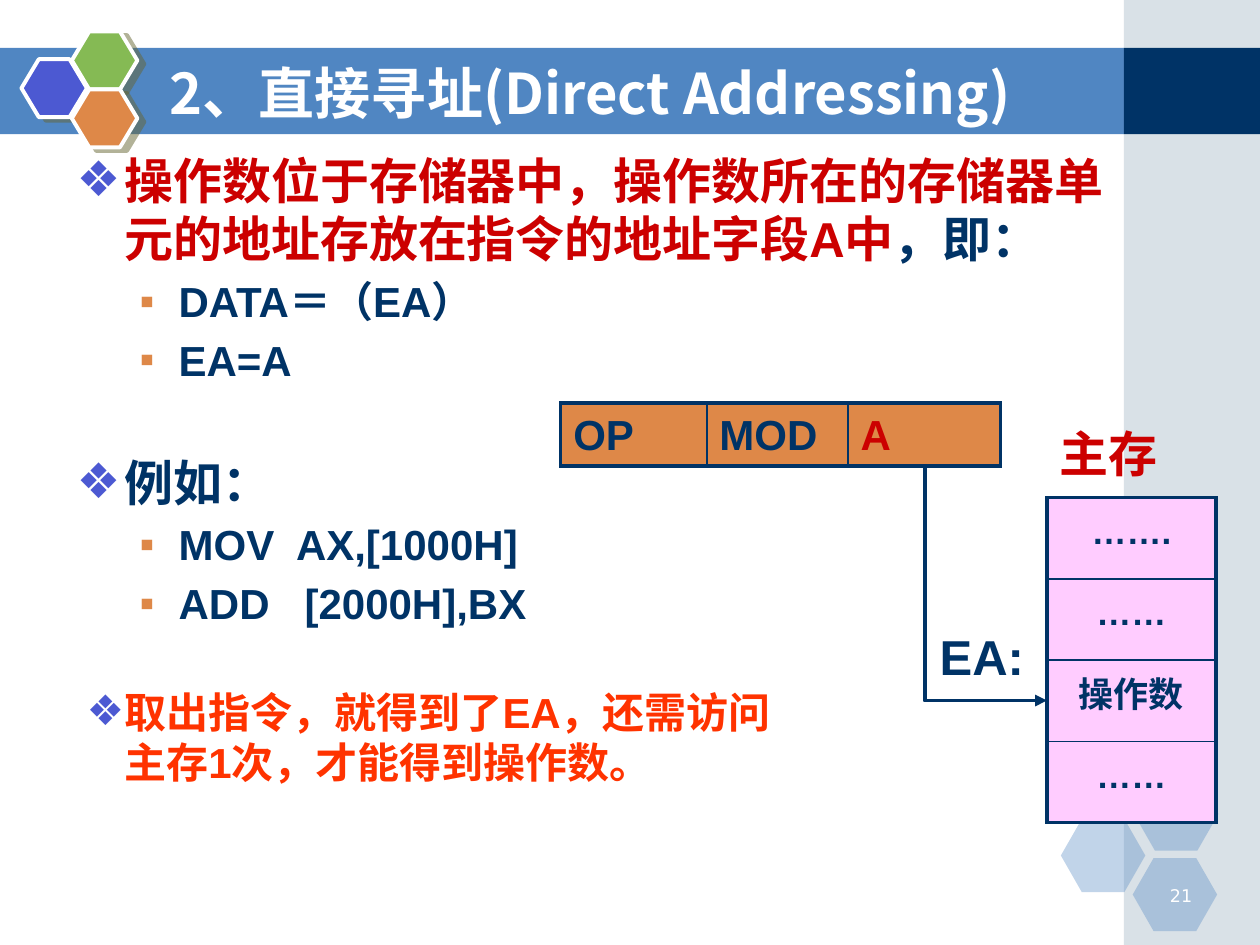
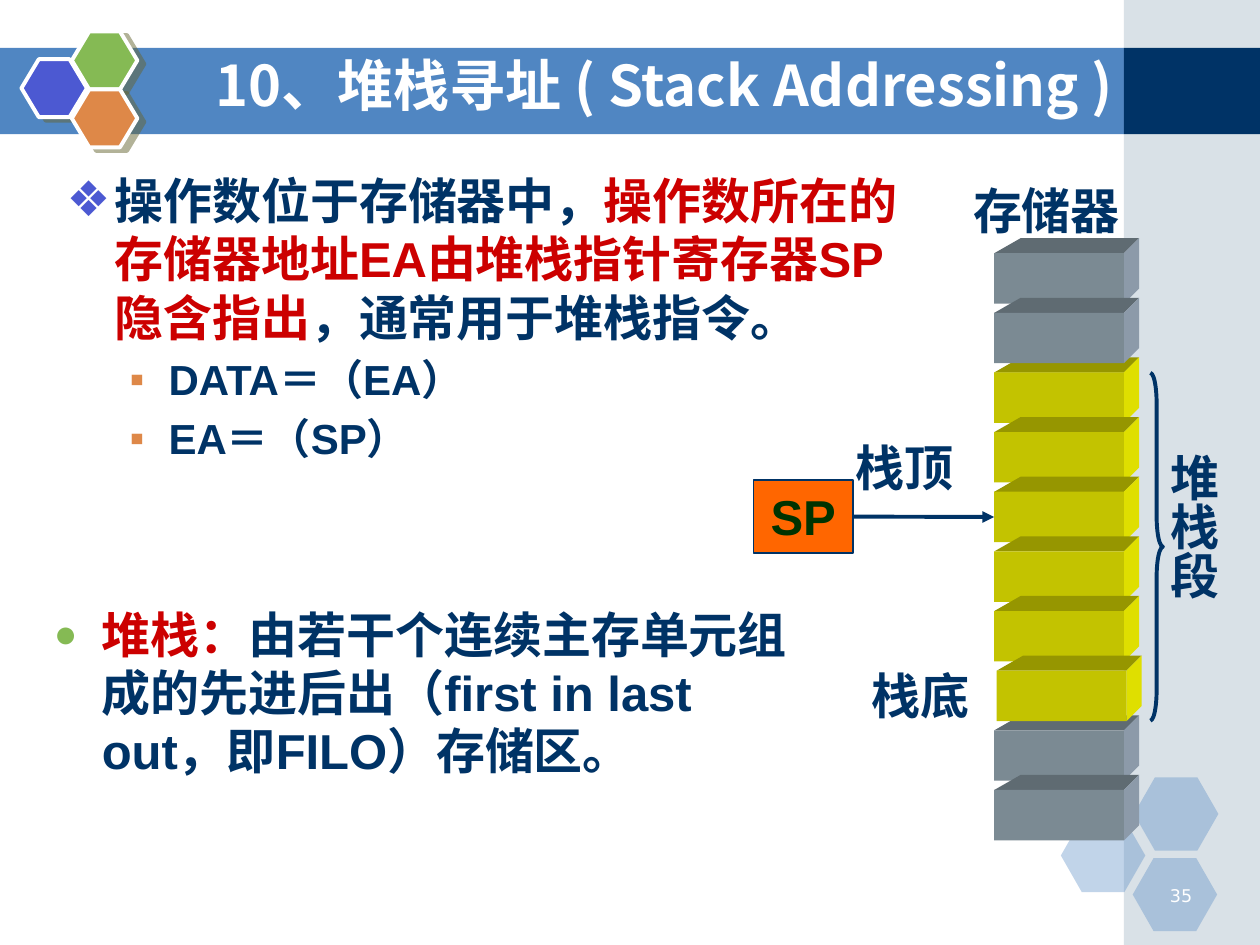
from lxml.etree import SubElement
from pptx import Presentation
from pptx.dml.color import RGBColor
from pptx.enum.shapes import MSO_CONNECTOR, MSO_SHAPE
from pptx.enum.text import MSO_ANCHOR, PP_ALIGN
from pptx.oxml.ns import qn
from pptx.util import Inches, Pt

# Colours
WHITE = RGBColor(0xFF, 0xFF, 0xFF)
NAVY = RGBColor(0x00, 0x33, 0x66)
BLUE = RGBColor(0x50, 0x86, 0xC2)
STEEL = RGBColor(0xA0, 0xB5, 0xC4)
INDIGO = RGBColor(0x4C, 0x59, 0xD2)
GREEN = RGBColor(0x85, 0xBA, 0x54)
AMBER = RGBColor(0xDE, 0x88, 0x48)
RED = RGBColor(0xCC, 0x00, 0x00)
SCARLET = RGBColor(0xFF, 0x33, 0x00)
ORANGE = RGBColor(0xFF, 0x66, 0x00)
FOREST = RGBColor(0x00, 0x33, 0x00)
PINK = RGBColor(0xFF, 0xCC, 0xFF)
# Front, top and side of a memory block
GREY = (RGBColor(0x7B, 0x8A, 0x93), RGBColor(0x5F, 0x6B, 0x72),
        RGBColor(0x8C, 0x9A, 0xA9))
YELLOW = (RGBColor(0xC3, 0xC3, 0x00), RGBColor(0x96, 0x96, 0x00),
          RGBColor(0xDF, 0xDF, 0x00))

# Grid: 100 columns by 75 rows
COLS, ROWS = 100, 75
LEAD = 1.19  # line pitch as a share of the text size

# Paragraph kinds: text size, level, left, hang, bullet, its colour and percent
KINDS = {
    "label": dict(size=28),
    "title": dict(size=32, face="Noto Sans CJK SC"),
    "page": dict(size=10, face="DejaVu Sans", bold=False),
    "op": dict(size=24),
    "cell": dict(size=20),
    "main": dict(size=28, left=0.38, hang=0.38, mark="❖", tint=INDIGO),
    "sub": dict(size=24, level=1, left=0.81, hang=0.31, mark="▪", tint=AMBER),
    "note": dict(size=24, left=0.3, hang=0.3, mark="❖", tint=INDIGO),
    "dot": dict(size=28, left=0.38, hang=0.38, mark="●", tint=GREEN, part=80),
}


def put(item, **values):
    for name, value in values.items():
        setattr(item, name, value)


class Deck:
    def __init__(self):
        self.prs = Presentation()
        put(self.prs, slide_width=Inches(10), slide_height=Inches(7.5))
        self.slide = None

    def x(self, cols):
        return round(self.prs.slide_width * cols / COLS)

    def y(self, rows):
        return round(self.prs.slide_height * rows / ROWS)

    def place(self, left, top, wide, high):
        return self.x(left), self.y(top), self.x(wide), self.y(high)

    # Text
    def bullet(self, para, left, hang, mark, tint, part):
        props = para._p.get_or_add_pPr()
        props.set("marL", str(Inches(left)))
        props.set("indent", str(-Inches(hang)))
        color = SubElement(props, qn("a:buClr"))
        SubElement(color, qn("a:srgbClr"), val=str(tint))
        SubElement(props, qn("a:buSzPct"), val=str(part * 1000))
        SubElement(props, qn("a:buFont"), typeface="Arial")
        SubElement(props, qn("a:buChar"), char=mark)

    def compose(self, frame, paras, align=PP_ALIGN.LEFT):
        """Each paragraph is a kind, its runs and, if needed, a gap above."""
        for index, (kind, runs, *gap) in enumerate(paras):
            look = KINDS[kind]
            size = look["size"]
            para = frame.add_paragraph() if index else frame.paragraphs[0]
            if "mark" in look:
                self.bullet(para, look["left"], look["hang"], look["mark"],
                            look["tint"], look.get("part", 100))
            above = gap[0] if gap else size * 0.2
            put(para, alignment=align, level=look.get("level", 0),
                line_spacing=Pt(round(size * LEAD, 1)),
                space_before=Pt(above if index else 0))
            for text, color in runs:
                run = para.add_run()
                run.text = text
                face = look.get("face", "Arial")
                put(run.font, size=Pt(size), name=face,
                    bold=look.get("bold", True))
                run.font.color.rgb = color
                SubElement(run._r.get_or_add_rPr(), qn("a:ea"), typeface=face)

    def text(self, at, paras, align=PP_ALIGN.LEFT, anchor=MSO_ANCHOR.TOP,
             vert=None):
        frame = self.slide.shapes.add_textbox(*self.place(*at)).text_frame
        put(frame, word_wrap=True, vertical_anchor=anchor)
        if vert:
            frame._txBody.bodyPr.set("vert", vert)
        self.compose(frame, paras, align)

    def label(self, at, text, color=NAVY, **style):
        self.text(at, [("label", [(text, color)])], **style)

    # Shapes
    def paint(self, shape, fill, line=None, width=1, alpha=None):
        shape.shadow.inherit = False
        if fill is None:
            shape.fill.background()
        else:
            shape.fill.solid()
            shape.fill.fore_color.rgb = fill
        if alpha:
            color = shape._element.spPr.find(
                qn("a:solidFill")).find(qn("a:srgbClr"))
            SubElement(color, qn("a:alpha"), val=str(alpha * 1000))
        if line is None:
            shape.line.fill.background()
        else:
            shape.line.color.rgb = line
            shape.line.width = Pt(width)
        return shape

    def shape(self, kind, at, fill, adjust=(), **style):
        shape = self.slide.shapes.add_shape(kind, *self.place(*at))
        for index, value in enumerate(adjust):
            shape.adjustments[index] = value
        return self.paint(shape, fill, **style)

    def outline(self, points, fill):
        spots = [(self.x(a), self.y(b)) for a, b in points]
        pen = self.slide.shapes.build_freeform(*spots[0])
        pen.add_line_segments(spots[1:], close=True)
        return self.paint(pen.convert_to_shape(), fill)

    def cast(self, shape):
        effects = shape._element.spPr.find(qn("a:effectLst"))
        shadow = SubElement(effects, qn("a:outerShdw"), dist=str(Pt(4.5)),
                            dir=str(27 * 60000), algn="ctr", rotWithShape="0")
        color = SubElement(shadow, qn("a:srgbClr"), val="666633")
        SubElement(color, qn("a:alpha"), val="50000")

    def block(self, left, top, wide, high, tones):
        """A solid block seen from above and from the right."""
        front, roof, side = tones
        right, back, lift = left + wide, left + wide + 1.2, 1.2
        self.outline([(left, top), (left + 2.1, top - lift),
                      (back, top - lift), (right, top)], roof)
        self.outline([(right, top), (back, top - lift),
                      (back, top + high - lift), (right, top + high)], side)
        return self.shape(MSO_SHAPE.RECTANGLE, (left, top, wide, high), front)

    # Lines
    def arrow(self, kind, start, end):
        link = self.slide.shapes.add_connector(
            kind, self.x(start[0]), self.y(start[1]),
            self.x(end[0]), self.y(end[1]))
        link.line.color.rgb = NAVY
        link.line.width = Pt(2.25)
        SubElement(link.line._get_or_add_ln(), qn("a:tailEnd"),
                   type="triangle")
        SubElement(link._element.spPr, qn("a:effectLst"))
        return link

    def corner(self, start, end):
        """Arrow that runs down, then right: a turned and flipped elbow."""
        midx, midy = (start[0] + end[0]) / 2, (start[1] + end[1]) / 2
        halfx, halfy = (end[1] - start[1]) / 2, (end[0] - start[0]) / 2
        link = self.arrow(MSO_CONNECTOR.ELBOW, (midx + halfx, midy - halfy),
                          (midx - halfx, midy + halfy))
        props = link._element.spPr
        props.find(qn("a:xfrm")).set("rot", str(270 * 60000))
        props.find(qn("a:prstGeom")).set("prst", "bentConnector2")

    # Tables
    def table(self, at, widths, rows, kind, fill, **style):
        table = self.slide.shapes.add_table(
            len(rows), len(widths), *self.place(*at)).table
        put(table, first_row=False, horz_banding=False)
        for column, width in zip(table.columns, widths):
            column.width = self.x(width)
        for r, row in enumerate(rows):
            for c, run in enumerate(row):
                cell = table.cell(r, c)
                edges = dict(L=c == 0, R=c == len(widths) - 1,
                             T=r == 0, B=r == len(rows) - 1)
                for side, outer in edges.items():
                    line = SubElement(cell._tc.get_or_add_tcPr(),
                                      qn("a:ln" + side),
                                      w=str(Pt(2.25 if outer else 1)))
                    ink = SubElement(line, qn("a:solidFill"))
                    SubElement(ink, qn("a:srgbClr"), val=str(NAVY))
                cell.fill.solid()
                cell.fill.fore_color.rgb = fill
                align = style.get("align", PP_ALIGN.LEFT)
                put(cell, vertical_anchor=style.get("anchor", MSO_ANCHOR.TOP),
                    margin_top=Inches(style.get("inset", 0.05)))
                self.compose(cell.text_frame, [(kind, [run])], align)

    # Parts shared by all slides
    def page(self, title, spot, number):
        self.slide = self.prs.slides.add_slide(self.prs.slide_layouts[6])
        box, hexa = MSO_SHAPE.RECTANGLE, MSO_SHAPE.HEXAGON
        self.shape(box, (0, 3.8, 89.2, 6.85), BLUE)
        self.shape(box, (89.2, 0, 10.8, ROWS), STEEL, alpha=40)
        self.shape(box, (89.2, 3.8, 10.8, 6.85), NAVY)
        for left, top in ((84.2, 65), (90, 61.7), (89.9, 68.1)):
            self.shape(hexa, (left, top, 6.7, 5.8), BLUE, (0.286, 1.155),
                       alpha=35)
        for left, top, fill in ((1.7, 4.7, INDIGO), (5.7, 2.5, GREEN),
                                (5.7, 7.1, AMBER)):
            self.cast(self.shape(hexa, (left, top, 5.2, 4.6), fill,
                                 (0.3, 1.155), line=WHITE, width=2.25))
        self.text((90.6, 69.8, 5, 2.5), [("page", [(number, WHITE)])],
                  PP_ALIGN.RIGHT)
        self.text(spot, [("title", [(title, WHITE)])],
                  anchor=MSO_ANCHOR.MIDDLE)


def direct(deck):
    deck.page("2、直接寻址(Direct Addressing)", (12.5, 4.2, 73.3, 6.2), "21")
    deck.text((5.1, 11.5, 84.3, 44.9), [
        ("main", [("操作数位于存储器中，操作数所在的存储器单元的地址存放在"
                   "指令的地址字段A中", RED), ("，即：", NAVY)]),
        ("sub", [("DATA＝（EA）", NAVY)]),
        ("sub", [("EA=A", NAVY)]),
        ("main", [("例如：", NAVY)], 39),
        ("sub", [("MOV  AX,[1000H]", NAVY)]),
        ("sub", [("ADD   [2000H],BX", NAVY)]),
    ])
    # Instruction word and main memory
    deck.table((44.5, 32, 34.9, 5), (11.6, 11.2, 12.1),
               [[("OP", NAVY), ("MOD", NAVY), ("A", RED)]], "op", AMBER,
               anchor=MSO_ANCHOR.MIDDLE)
    cells = ("…….", "……", "操作数", "……")
    deck.table((83.1, 39.5, 13.4, 25.8), (13.4,),
               [[(text, NAVY)] for text in cells], "cell", PINK,
               align=PP_ALIGN.CENTER, inset=0.1)
    deck.label((73.6, 49.3, 9.5, 5.7), "EA:")
    deck.corner((73.4, 37), (83.1, 55.6))
    deck.label((83.1, 33.2, 11.8, 5.7), "主存", RED)
    deck.text((5.9, 54, 56.7, 9), [
        ("note", [("取出指令，就得到了EA，还需访问主存1次，才能得到操作数。",
                   SCARLET)])])


def stack(deck):
    deck.page("10、堆栈寻址 ( Stack Addressing )", (16.1, 3.6, 75.6, 6.2),
              "35")
    deck.text((4.3, 13.1, 68.5, 32.3), [
        ("main", [("操作数位于存储器中，", NAVY),
                  ("操作数所在的存储器地址EA由堆栈指针寄存器SP隐含指出", RED),
                  ("，通常用于堆栈指令。", NAVY)]),
        ("sub", [("DATA＝（EA）", NAVY)]),
        ("sub", [("EA＝（SP）", NAVY)]),
    ])
    deck.text((3.3, 47.5, 61.8, 15), [
        ("dot", [("堆栈：", RED),
                 ("由若干个连续主存单元组成的先进后出（first in last out，"
                  "即FILO）存储区。", NAVY)])])
    # Memory blocks, from back to front; the stack is rows 2 to 7
    first, last, count = 20.1, 62.7, 10
    step = (last - first) / (count - 1)
    units = {}
    for row in (2, 3, 4, 5, 8, 9, 0, 1, 6, 7):
        left = 79.1 if row == 7 else 78.9
        units[row] = deck.block(left, first + row * step, 10.3, 4,
                                YELLOW if 2 <= row <= 7 else GREY)
    deck.shape(MSO_SHAPE.RIGHT_BRACE, (91.3, 29.6, 1, 27.6), None,
               (2.405, 0.5), line=NAVY, width=2.25)
    # Labels
    deck.label((74.8, 13.9, 16.5, 5.7), "存储器", align=PP_ALIGN.CENTER)
    deck.label((90.8, 35, 6.7, 16.6), "堆栈段", vert="eaVert")
    deck.label((67.7, 52.4, 10.2, 5.7), "栈底", align=PP_ALIGN.RIGHT)
    deck.label((66.9, 34.3, 11.8, 5.7), "栈顶")
    # Stack pointer
    point = deck.shape(MSO_SHAPE.RECTANGLE, (59.8, 38.1, 7.9, 5.8), ORANGE,
                       line=NAVY)
    deck.compose(point.text_frame, [("label", [("SP", FOREST)])],
                 PP_ALIGN.CENTER)
    link = deck.arrow(MSO_CONNECTOR.STRAIGHT, (67.7, 41), (78.9, 41))
    link.begin_connect(point, 3)
    link.end_connect(units[4], 1)


def main():
    deck = Deck()
    direct(deck)
    stack(deck)
    deck.prs.save("out.pptx")


if __name__ == "__main__":
    main()
